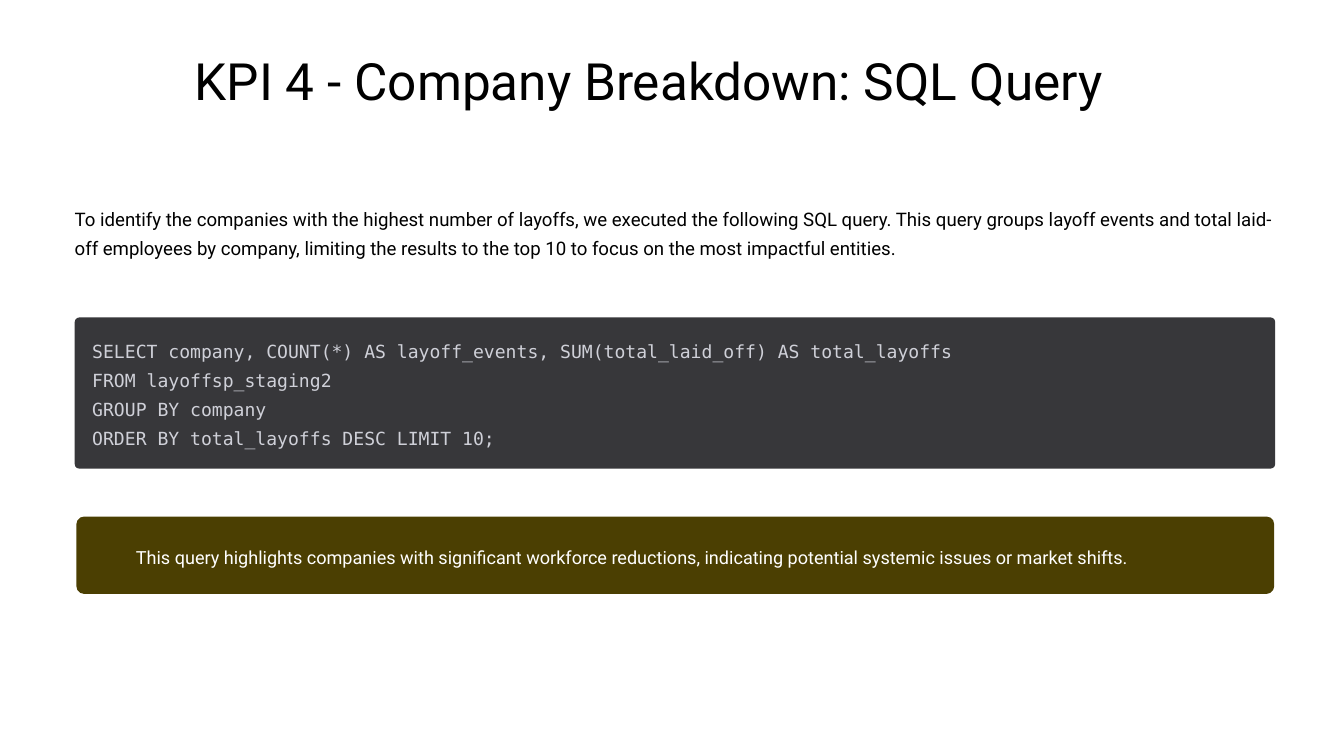
from dataclasses import dataclass

from pptx import Presentation
from pptx.dml.color import RGBColor
from pptx.enum.shapes import MSO_SHAPE
from pptx.enum.text import MSO_ANCHOR, MSO_AUTO_SIZE, PP_ALIGN
from pptx.shapes.base import BaseShape
from pptx.slide import Slide
from pptx.util import Cm, Pt

COLORS = {
    "ink": "000000",
    "slate": "37373A",
    "code": "CFD0D8",
    "olive": "4B3F02",
    "white": "FFFFFF",
}


@dataclass(frozen=True)
class Box:
    """A rectangle in centimetres."""
    left: float
    top: float
    width: float
    height: float


@dataclass(frozen=True)
class Panel:
    box: Box
    color: str
    round: float


@dataclass(frozen=True)
class Text:
    box: Box
    words: str
    size: float
    color: str
    font: str = "Roboto"
    line: float = 25
    align: PP_ALIGN = PP_ALIGN.LEFT


TITLE = Text(Box(5.89, 2.51, 28.5, 1.4), "KPI 4 - Company Breakdown: SQL Query",
             44, "ink", line=24)

PANELS = [
    Panel(Box(2.26, 9.6, 36.3, 4.57), "slate", 0.03),
    Panel(Box(2.31, 15.62, 36.22, 2.34), "olive", 0.1),
]

QUERY = """SELECT company, COUNT(*) AS layoff_events, SUM(total_laid_off) AS total_layoffs
FROM layoffsp_staging2
GROUP BY company
ORDER BY total_layoffs DESC LIMIT 10;"""

TEXTS = [
    Text(Box(2.26, 6.08, 36.22, 1.75),
         "To identify the companies with the highest number of layoffs, we executed "
         "the following SQL query. This query groups layoff events and total laid-off "
         "employees by company, limiting the results to the top 10 to focus on the "
         "most impactful entities.",
         16, "ink", align=PP_ALIGN.JUSTIFY),
    Text(Box(2.79, 10.06, 35.18, 3.53), QUERY, 15.5, "code", font="DejaVu Sans Mono"),
    Text(Box(4.11, 16.31, 33.88, 0.89),
         "This query highlights companies with significant workforce reductions, "
         "indicating potential systemic issues or market shifts.",
         15.5, "white"),
]


def rgb(name: str) -> RGBColor:
    return RGBColor.from_string(COLORS[name])


def lengths(box: Box) -> tuple[Cm, Cm, Cm, Cm]:
    return Cm(box.left), Cm(box.top), Cm(box.width), Cm(box.height)


def write(shape: BaseShape, text: Text) -> None:
    """Place the shape, then fill and format its text."""
    shape.left, shape.top, shape.width, shape.height = lengths(text.box)
    frame = shape.text_frame
    frame.text = text.words
    frame.margin_left = frame.margin_right = 0
    frame.margin_top = frame.margin_bottom = 0
    frame.auto_size = MSO_AUTO_SIZE.NONE
    frame.vertical_anchor = MSO_ANCHOR.TOP
    frame.word_wrap = True
    for para in frame.paragraphs:
        para.alignment = text.align
        para.line_spacing = Pt(text.line)
        para.space_before = Pt(0)
        for run in para.runs:
            run.font.name = text.font
            run.font.size = Pt(text.size)
            run.font.color.rgb = rgb(text.color)


def draw(slide: Slide, panel: Panel) -> None:
    shape = slide.shapes.add_shape(MSO_SHAPE.ROUNDED_RECTANGLE, *lengths(panel.box))
    shape.adjustments[0] = panel.round
    shape.shadow.inherit = False
    shape.fill.solid()
    shape.fill.fore_color.rgb = rgb(panel.color)
    shape.line.fill.background()


def main() -> None:
    deck = Presentation()
    deck.slide_width, deck.slide_height = Cm(40.64), Cm(22.86)
    slide = deck.slides.add_slide(deck.slide_layouts.get_by_name("Title Only"))
    write(slide.shapes.title, TITLE)
    for panel in PANELS:
        draw(slide, panel)
    for text in TEXTS:
        write(slide.shapes.add_textbox(*lengths(text.box)), text)
    deck.save("out.pptx")


if __name__ == "__main__":
    main()
